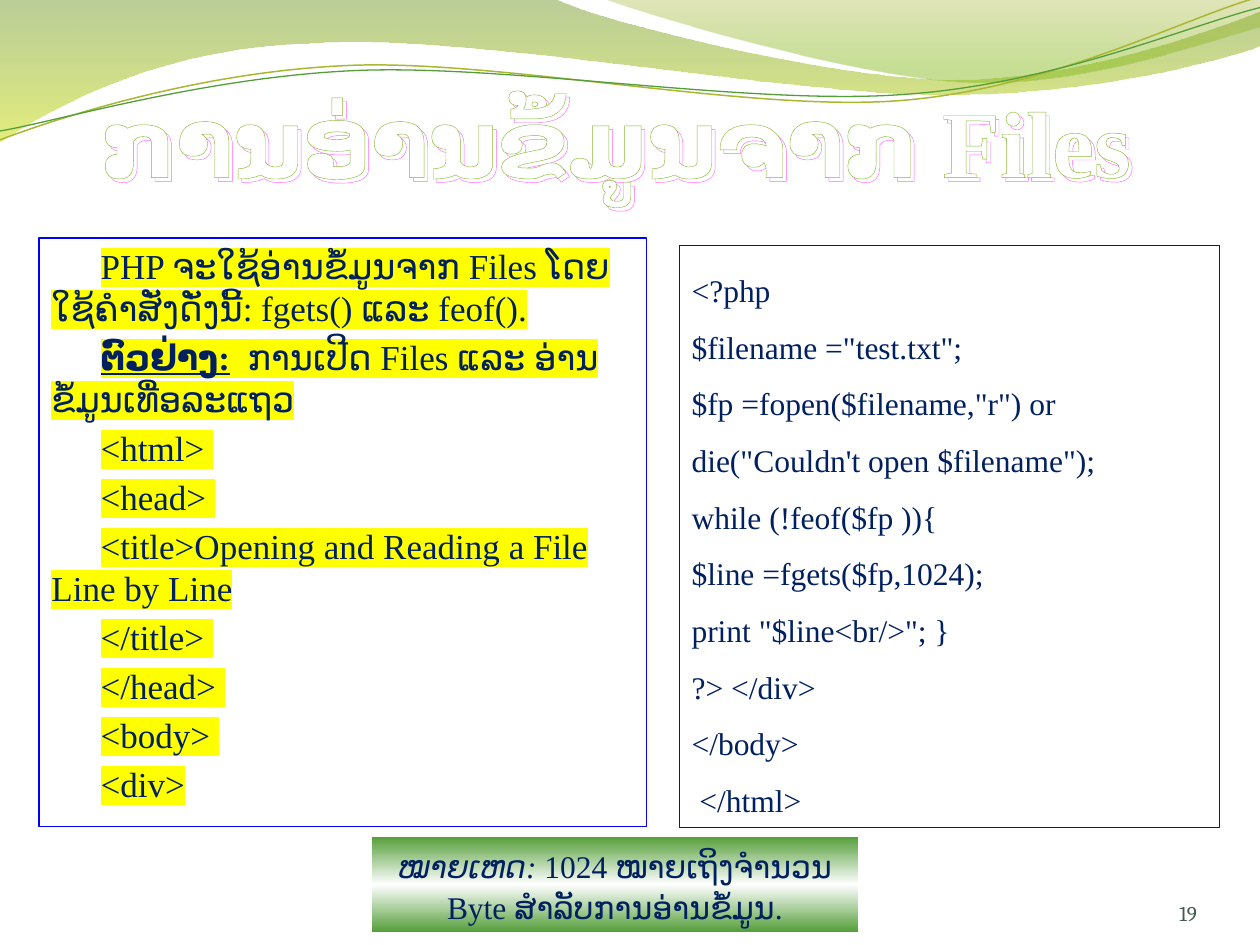
from lxml import etree
from pptx import Presentation
from pptx.dml.color import RGBColor
from pptx.enum.shapes import MSO_SHAPE as Shape
from pptx.enum.text import MSO_ANCHOR as Anchor, MSO_AUTO_SIZE as AutoSize, PP_ALIGN as Align
from pptx.oxml.ns import qn
from pptx.util import Inches, Pt

THEME = {
    "font": "Times New Roman", "number_font": "Cambria",
    "ink": "002060", "number_ink": "425B4D", "border": "0000FF",
    "highlight": "FFFF00", "title": "FFFFFF", "title_edge": "8AB833",
    "title_shadow": "FF66FF",
    "title_size": 54, "body_size": 20, "code_size": 18, "number_size": 12,
}

# Content: a paragraph is a list of (text, style flags)
TITLE = [[("ການອ່ານຂໍ້ມູນຈາກ Files", "b")]]
READING = [
    [("PHP ຈະໃຊ້ອ່ານຂໍ້ມູນຈາກ Files ໂດຍໃຊ້ຄຳສັ່ງດັ່ງນີ້: fgets() ແລະ feof().", "")],
    [("ຕົວຢ່າງ:", "bu"), ("  ການເປີດ Files ແລະ ອ່ານຂໍ້ມູນເທື່ອລະແຖວ", "")],
] + [[(line, "")] for line in (
    "<html> ", "<head> ", "<title>Opening and Reading a File Line by Line",
    "</title> ", "</head> ", "<body> ", "<div>")]
CODE = [[(line, "")] for line in (
    "<?php",
    '$filename ="test.txt";',
    '$fp =fopen($filename,"r") or die("Couldn\'t open $filename");',
    "while (!feof($fp )){",
    "$line =fgets($fp,1024);",
    'print "$line<br/>"; }',
    "?> </div>",
    "</body>",
    " </html>")]
NOTE = [[("ໝາຍເຫດ:", "i"), (" 1024 ໝາຍເຖິງຈຳນວນ Byte ສຳລັບການອ່ານຂໍ້ມູນ.", "")]]
NUMBER = [[("19", "")]]

# Header waves: two numbers are a point, six are a Bezier curve.
# Gradient stops are (position, colour, opacity), all in percent.
BANDS = [
    ([(0, 0), (4.4, -0.01), (4.76, 0.17, 6.64, 0.63, 7.58, 0.63),
      (8.53, 0.63, 9.58, 0.26, 10, 0.09), (10.01, 0.36),
      (9.83, 0.44, 8.7, 0.76, 7.46, 0.75), (6.22, 0.75, 3.82, 0.28, 2.57, 0.34),
      (1.29, 0.36, 0.46, 0.83, -0.01, 1.13)],
     [(0, "69921C", 45), (100, "CCE10F", 55)]),
    ([(4.79, -0.01), (5.09, 0.11, 6.82, 0.62, 7.69, 0.65),
      (8.56, 0.69, 9.61, 0.32, 10, 0.21), (10, 0)],
     [(0, "9BAA1A", 30), (80, "81BA16", 45)]),
]
STRANDS = [
    ([(0, 1.11), (0.48, 0.93, 1.58, 0.57, 2.77, 0.52),
      (3.95, 0.47, 5.93, 0.89, 7.13, 0.8), (8.33, 0.71, 9.38, 0.15, 9.98, -0.02)],
     "A9B733", 0.85),
    ([(0, 1.04), (0.47, 0.96, 1.64, 0.61, 2.83, 0.56),
      (4.03, 0.51, 5.97, 0.84, 7.17, 0.75), (8.36, 0.67, 9.41, 0.21, 10, 0.06)],
     "549E39", 0.75),
]
NOTE_STOPS = [(0, "549E39", 100), (50, "FFFFFF", 100), (100, "549E39", 100)]


def element(tag, **attributes):
    node = etree.Element(qn(tag))
    for name, value in attributes.items():
        node.set(name, str(value))
    return node


def color_element(color, opacity=100):
    node = element("a:srgbClr", val=color)
    if opacity < 100:
        node.append(element("a:alpha", val=opacity * 1000))
    return node


def fill_gradient(shape, stops):
    shape.fill.gradient()
    shape.fill.gradient_angle = 270
    stop_list = shape._element.spPr.find(".//" + qn("a:gsLst"))
    for old in list(stop_list):
        stop_list.remove(old)
    for position, color, opacity in stops:
        stop = element("a:gs", pos=position * 1000)
        stop.append(color_element(color, opacity))
        stop_list.append(stop)


def set_line(shape, color, width):
    shape.line.color.rgb = RGBColor.from_string(color)
    shape.line.width = Pt(width)


def add_wave(page, segments, close):
    """Lay out the outline by its corner points, then bend the curved segments."""
    corners = [(Inches(segment[-2]), Inches(segment[-1])) for segment in segments]
    builder = page.shapes.build_freeform(*corners[0])
    builder.add_line_segments(corners[1:], close=close)
    wave = builder.convert_to_shape()
    wave.shadow.inherit = False
    lines = wave._element.spPr.findall(".//" + qn("a:lnTo"))
    for line, segment in zip(lines, segments[1:]):
        if len(segment) == 2:
            continue
        curve = element("a:cubicBezTo")
        for x, y in zip(segment[::2], segment[1::2]):
            curve.append(element("a:pt", x=Inches(x) - wave.left, y=Inches(y) - wave.top))
        line.getparent().replace(line, curve)
    return wave


def add_rectangle(page, place):
    box = page.shapes.add_shape(Shape.RECTANGLE, *map(Inches, place))
    box.shadow.inherit = False
    box.fill.background()
    box.line.fill.background()
    return box


def write(box, paragraphs, size, color=THEME["ink"], font=THEME["font"], align=Align.LEFT,
          anchor=Anchor.TOP, spacing=None, before=0, indent=0, insets=None,
          grow=False, highlight=None):
    frame = box.text_frame
    frame.word_wrap = True
    frame.vertical_anchor = anchor
    frame.auto_size = AutoSize.SHAPE_TO_FIT_TEXT if grow else AutoSize.NONE
    if insets:
        (frame.margin_left, frame.margin_top,
         frame.margin_right, frame.margin_bottom) = map(Inches, insets)
    for index, runs in enumerate(paragraphs):
        para = frame.add_paragraph() if index else frame.paragraphs[0]
        para.alignment = align
        para.space_before = Pt(before)
        if spacing:
            para.line_spacing = spacing
        if indent:
            properties = para._p.get_or_add_pPr()
            properties.set("marL", "0")
            properties.set("indent", str(Inches(indent)))
        for text, flags in runs:
            span = para.add_run()
            span.text = text
            face = span.font
            face.size, face.name = Pt(size), font
            face.bold, face.italic, face.underline = (flag in flags for flag in "biu")
            face.color.rgb = RGBColor.from_string(color)
            properties = span._r.get_or_add_rPr()
            properties.find(qn("a:latin")).addnext(element("a:cs", typeface=font))
            if highlight:
                marker = element("a:highlight")
                marker.append(color_element(highlight))
                properties.find(qn("a:solidFill")).addnext(marker)


def outline_text(box, edge, shadow_color):
    for span in box.text_frame.paragraphs[0].runs:
        line, fill = element("a:ln", w=6600), element("a:solidFill")
        fill.append(color_element(edge))
        line.append(fill)
        span._r.get_or_add_rPr().insert(0, line)
    # The box has no fill, so its shadow falls from the letters
    effects = element("a:effectLst")
    shadow = element("a:outerShdw", dist=38100, dir=2700000, algn="tl", rotWithShape=0)
    shadow.append(color_element(shadow_color))
    effects.append(shadow)
    box._element.spPr.append(effects)


def main():
    deck = Presentation()
    deck.slide_width, deck.slide_height = Inches(10), Inches(7.5)
    page = deck.slides.add_slide(deck.slide_layouts[6])

    # Header waves
    for segments, stops in BANDS:
        band = add_wave(page, segments, close=True)
        fill_gradient(band, stops)
        band.line.fill.background()
    for segments, color, width in STRANDS:
        strand = add_wave(page, segments, close=False)
        strand.fill.background()
        set_line(strand, color, width)

    # Title
    title = page.shapes.add_textbox(*map(Inches, (0.39, 0.31, 9, 1.25)))
    write(title, TITLE, THEME["title_size"], THEME["title"], align=Align.CENTER,
          anchor=Anchor.BOTTOM, insets=(0, 0.05, 0, 0))
    outline_text(title, THEME["title_edge"], THEME["title_shadow"])

    # Explanation and code panels
    reading = add_rectangle(page, (0.31, 1.89, 4.82, 4.67))
    code = add_rectangle(page, (5.39, 1.95, 4.29, 4.62))
    for panel in (reading, code):
        set_line(panel, THEME["border"], 0.75)
    write(reading, READING, THEME["body_size"], before=4, indent=0.39,
          highlight=THEME["highlight"])
    write(code, CODE, THEME["code_size"], spacing=1.5, grow=True)

    # Note
    note = add_rectangle(page, (2.95, 6.64, 3.86, 0.76))
    fill_gradient(note, NOTE_STOPS)
    write(note, NOTE, THEME["code_size"], align=Align.CENTER, spacing=1.1,
          before=3.6, grow=True)

    # Page number
    number = page.shapes.add_textbox(*map(Inches, (8.67, 6.95, 0.83, 0.4)))
    write(number, NUMBER, THEME["number_size"], THEME["number_ink"], THEME["number_font"],
          align=Align.RIGHT, anchor=Anchor.BOTTOM, insets=(0, 0, 0, 0))

    deck.save("out.pptx")


if __name__ == "__main__":
    main()
